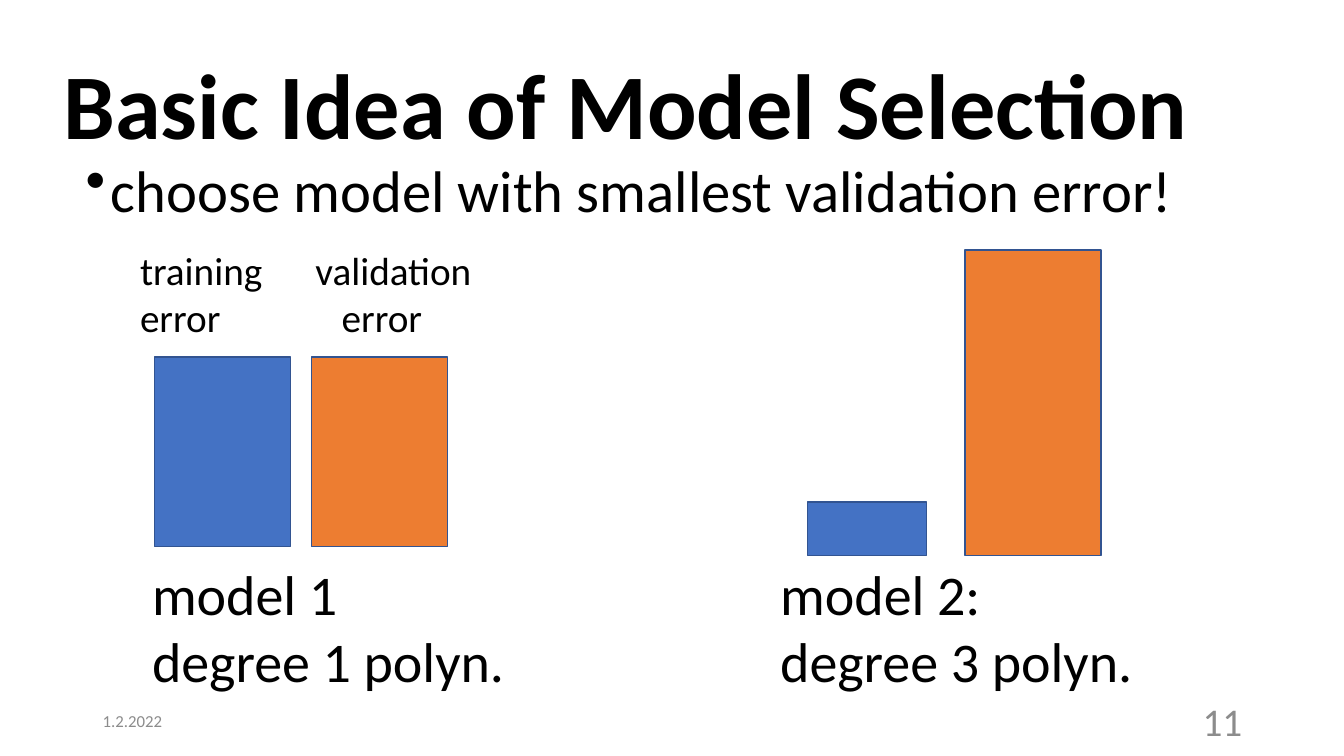
from dataclasses import dataclass

from lxml.etree import SubElement
from pptx import Presentation
from pptx.dml.color import RGBColor
from pptx.enum.shapes import MSO_SHAPE
from pptx.enum.text import MSO_ANCHOR, PP_ALIGN
from pptx.oxml.ns import qn
from pptx.slide import Slide
from pptx.text.text import _Paragraph
from pptx.util import Inches, Pt

BLACK = RGBColor(0x00, 0x00, 0x00)
GREY = RGBColor(0x8C, 0x8C, 0x8C)
BLUE = RGBColor(0x44, 0x72, 0xC4)
ORANGE = RGBColor(0xED, 0x7D, 0x31)
EDGE = RGBColor(0x32, 0x54, 0x91)


@dataclass
class Bar:
    left: float
    width: float
    height: float
    base: float
    color: RGBColor


@dataclass
class Label:
    left: float
    top: float
    width: float
    height: float
    lines: list[str]
    size: float
    color: RGBColor = BLACK
    bold: bool = False
    anchor: MSO_ANCHOR = MSO_ANCHOR.TOP
    align: PP_ALIGN = PP_ALIGN.LEFT
    spacing: float = 1.0


BARS = [
    Bar(1.53, 1.35, 1.88, 5.42, BLUE),
    Bar(3.09, 1.35, 1.88, 5.42, ORANGE),
    Bar(8.01, 1.18, 0.53, 5.51, BLUE),
    Bar(9.57, 1.35, 3.03, 5.51, ORANGE),
]

TITLE = Label(0.53, 0.21, 12.19, 1.75, ["Basic Idea of Model Selection"], 66,
              bold=True, anchor=MSO_ANCHOR.MIDDLE, spacing=0.9)
POINT = Label(0.75, 1.67, 11.5, 0.86,
              ["choose model with smallest validation error!"], 41.9, spacing=0.7)
LEGEND = Label(1.29, 2.39, 3.62, 1.04,
               ["training\tvalidation", "error\terror"], 28)
LABELS = [
    Label(1.41, 5.5, 3.73, 1.45, ["model 1", "degree 1 polyn."], 40),
    Label(7.64, 5.5, 3.86, 1.45, ["model 2:", "degree 3 polyn."], 40),
    Label(9.42, 6.95, 3, 0.4, ["11"], 28, GREY,
          anchor=MSO_ANCHOR.MIDDLE, align=PP_ALIGN.RIGHT),
    Label(0.92, 6.95, 3, 0.4, ["1.2.2022"], 12, GREY, anchor=MSO_ANCHOR.MIDDLE),
]
TABS = [1.74, 2.0]


def add_bar(slide: Slide, bar: Bar) -> None:
    shape = slide.shapes.add_shape(
        MSO_SHAPE.RECTANGLE, Inches(bar.left), Inches(bar.base - bar.height),
        Inches(bar.width), Inches(bar.height))
    shape.shadow.inherit = False
    shape.fill.solid()
    shape.fill.fore_color.rgb = bar.color
    shape.line.color.rgb = EDGE
    shape.line.width = Pt(1)


def add_label(slide: Slide, label: Label) -> list[_Paragraph]:
    box = slide.shapes.add_textbox(Inches(label.left), Inches(label.top),
                                   Inches(label.width), Inches(label.height))
    frame = box.text_frame
    frame.word_wrap = True
    frame.vertical_anchor = label.anchor
    frame.text = "\n".join(label.lines)
    for para in frame.paragraphs:
        para.alignment = label.align
        para.line_spacing = label.spacing
        para.font.name = "Calibri"
        para.font.size = Pt(label.size)
        para.font.bold = label.bold
        para.font.color.rgb = label.color
    return list(frame.paragraphs)


def add_bullet(para: _Paragraph) -> None:
    para.space_before = Pt(10)
    props = para._p.get_or_add_pPr()
    props.set("marL", str(Inches(0.25)))
    props.set("indent", str(Inches(-0.25)))
    font = props.find(qn("a:defRPr"))
    mark = SubElement(props, qn("a:buChar"), char="•")
    if font is not None:
        font.addprevious(mark)


def add_tab(para: _Paragraph, stop: float) -> None:
    props = para._p.get_or_add_pPr()
    font = props.find(qn("a:defRPr"))
    tabs = SubElement(props, qn("a:tabLst"))
    SubElement(tabs, qn("a:tab"), pos=str(Inches(stop)), algn="l")
    if font is not None:
        font.addprevious(tabs)


def main() -> None:
    deck = Presentation()
    deck.slide_width = Inches(13.33)
    deck.slide_height = Inches(7.5)
    slide = deck.slides.add_slide(deck.slide_layouts[6])
    add_label(slide, TITLE)
    add_bullet(add_label(slide, POINT)[0])
    for bar in BARS:
        add_bar(slide, bar)
    for para, stop in zip(add_label(slide, LEGEND), TABS):
        add_tab(para, stop)
    for label in LABELS:
        add_label(slide, label)
    deck.save("out.pptx")


if __name__ == "__main__":
    main()
